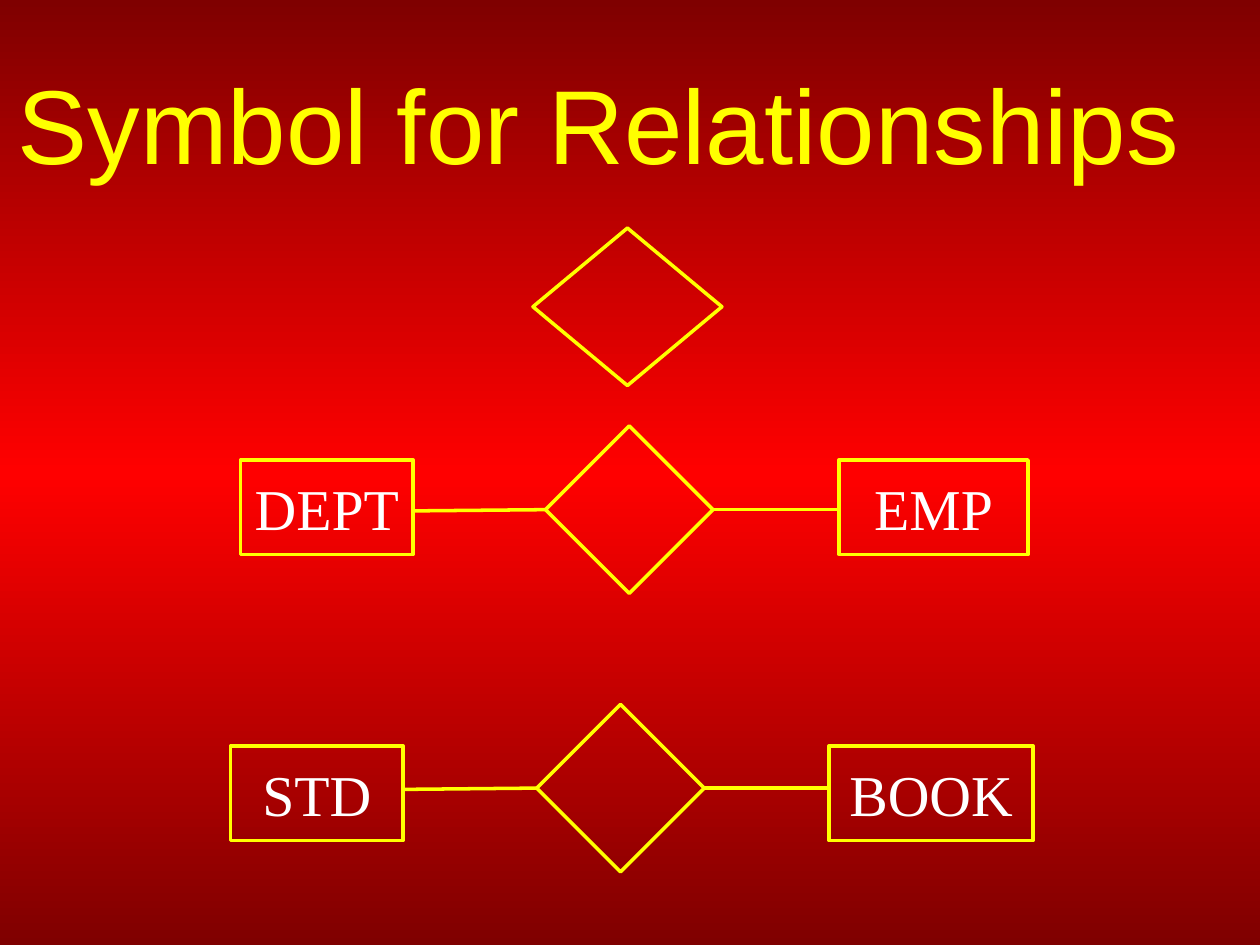
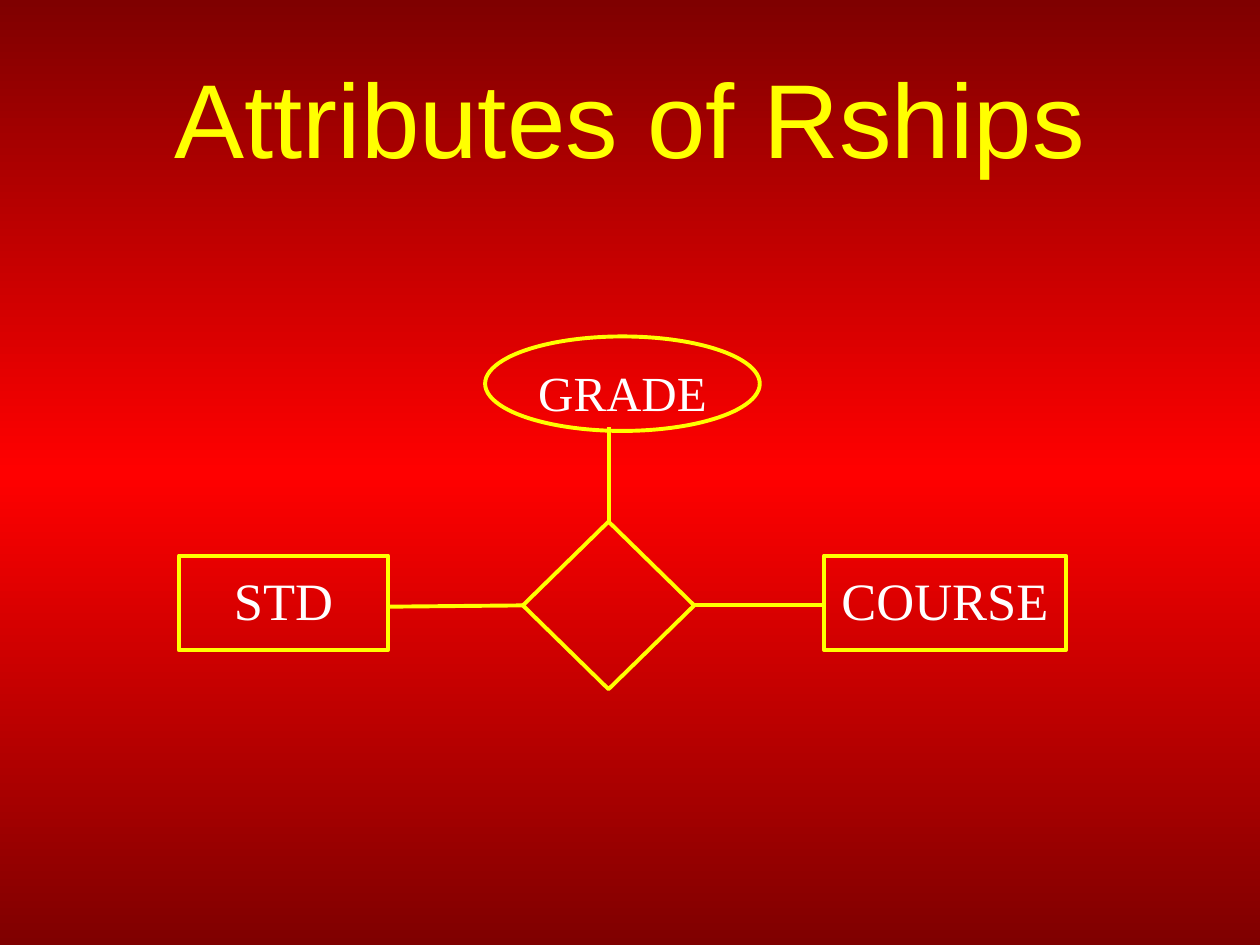
from copy import deepcopy

from pptx import Presentation
from pptx import util as u
from pptx.dml import color
from pptx.enum import shapes, text
from pptx.oxml import ns, xmlchemy

COLOURS = {"edge": "7F0000", "centre": "FF0000", "accent": "FFFF00", "label": "FFFFFF"}
TITLE_ONLY = 5
LEFT, RIGHT, TOP = 1, 3, 0
SHAPE = shapes.MSO_SHAPE


def rgb(name):
    return color.RGBColor.from_string(COLOURS[name])


class ErDeck:
    def __init__(self):
        self.prs = Presentation()
        self.prs.slide_width, self.prs.slide_height = u.Inches(10), u.Inches(7.5)
        self.slide = None
        self.line_width = 2
        self.paint_background()

    def paint_background(self):
        master = self.prs.slide_master
        fill = master.background.fill
        fill.gradient()
        fill.gradient_angle = 90
        stop_list = master.element.find(".//" + ns.qn("a:gsLst"))
        stop_list.append(deepcopy(stop_list[0]))
        stops = zip(fill.gradient_stops, (0, 0.5, 1), ("edge", "centre", "edge"))
        for stop, position, name in stops:
            stop.position = position
            stop.color.rgb = rgb(name)

    def new_slide(self, title, left, top, line_width):
        self.slide = self.prs.slides.add_slide(self.prs.slide_layouts[TITLE_ONLY])
        self.line_width = line_width
        heading = self.slide.shapes.title
        heading.left, heading.top = u.Inches(left), u.Inches(top)
        heading.width, heading.height = u.Inches(9.5), u.Inches(1.25)
        self.set_label(heading, title, "Arial", 60, "accent", text.MSO_ANCHOR.MIDDLE, 0.15)
        heading.text_frame.word_wrap = True

    def set_label(self, holder, words, font, size, colour, anchor, top_inset):
        frame = holder.text_frame
        frame.text = words
        frame.auto_size = text.MSO_AUTO_SIZE.NONE
        frame.word_wrap = False
        frame.vertical_anchor = anchor
        frame.margin_top = u.Inches(top_inset)
        paragraph = frame.paragraphs[0]
        paragraph.alignment = text.PP_ALIGN.CENTER
        style = paragraph.runs[0].font
        style.name, style.size = font, u.Pt(size)
        style.color.rgb = rgb(colour)

    def stroke(self, item):
        item.line.color.rgb = rgb("accent")
        item.line.width = u.Pt(self.line_width)

    def outline(self, kind, left, top, width, height, label="", size=33):
        symbol = self.slide.shapes.add_shape(
            kind, u.Inches(left), u.Inches(top), u.Inches(width), u.Inches(height))
        symbol.shadow.inherit = False
        symbol.fill.background()
        self.stroke(symbol)
        if label:
            self.set_label(symbol, label, "Times New Roman", size, "label",
                           text.MSO_ANCHOR.TOP, 0.1)
        return symbol

    def link(self, diamond, side, x, y):
        line = self.slide.shapes.add_connector(
            shapes.MSO_CONNECTOR.STRAIGHT, x, y, x, y)
        line.begin_connect(diamond, side)
        self.stroke(line)
        line.element.spPr.append(xmlchemy.OxmlElement("a:effectLst"))

    def relationship(self, diamond_box, first, second, top, size):
        diamond = self.outline(SHAPE.DIAMOND, *diamond_box)
        first_box, second_box = (
            self.outline(SHAPE.RECTANGLE, left, top, width, 0.75, label, size)
            for label, left, width in (first, second))
        middle = diamond.top + diamond.height // 2
        self.link(diamond, LEFT, first_box.left + first_box.width,
                  middle + u.Inches(0.01))
        self.link(diamond, RIGHT, second_box.left, middle)
        return diamond


def main():
    deck = ErDeck()

    deck.new_slide("Symbol for Relationships", 0, 0.3, 2)
    deck.outline(SHAPE.DIAMOND, 4.23, 1.81, 1.5, 1.25)
    deck.relationship((4.33, 3.38, 1.33, 1.33),
                      ("DEPT", 1.91, 1.37), ("EMP", 6.66, 1.5), 3.65, 33)
    deck.relationship((4.26, 5.59, 1.33, 1.33),
                      ("STD", 1.83, 1.37), ("BOOK", 6.58, 1.62), 5.92, 33)

    deck.new_slide("Attributes of Rships", 0.25, 0.25, 2.25)
    enrolment = deck.relationship((4.15, 4.14, 1.36, 1.33),
                                  ("STD", 1.42, 1.66), ("COURSE", 6.54, 1.92), 4.41, 30)
    deck.outline(SHAPE.OVAL, 3.85, 2.67, 2.18, 0.75, "GRADE", 28)
    deck.link(enrolment, TOP, enrolment.left + enrolment.width // 2, u.Inches(3.39))

    deck.prs.save("out.pptx")


if __name__ == "__main__":
    main()
